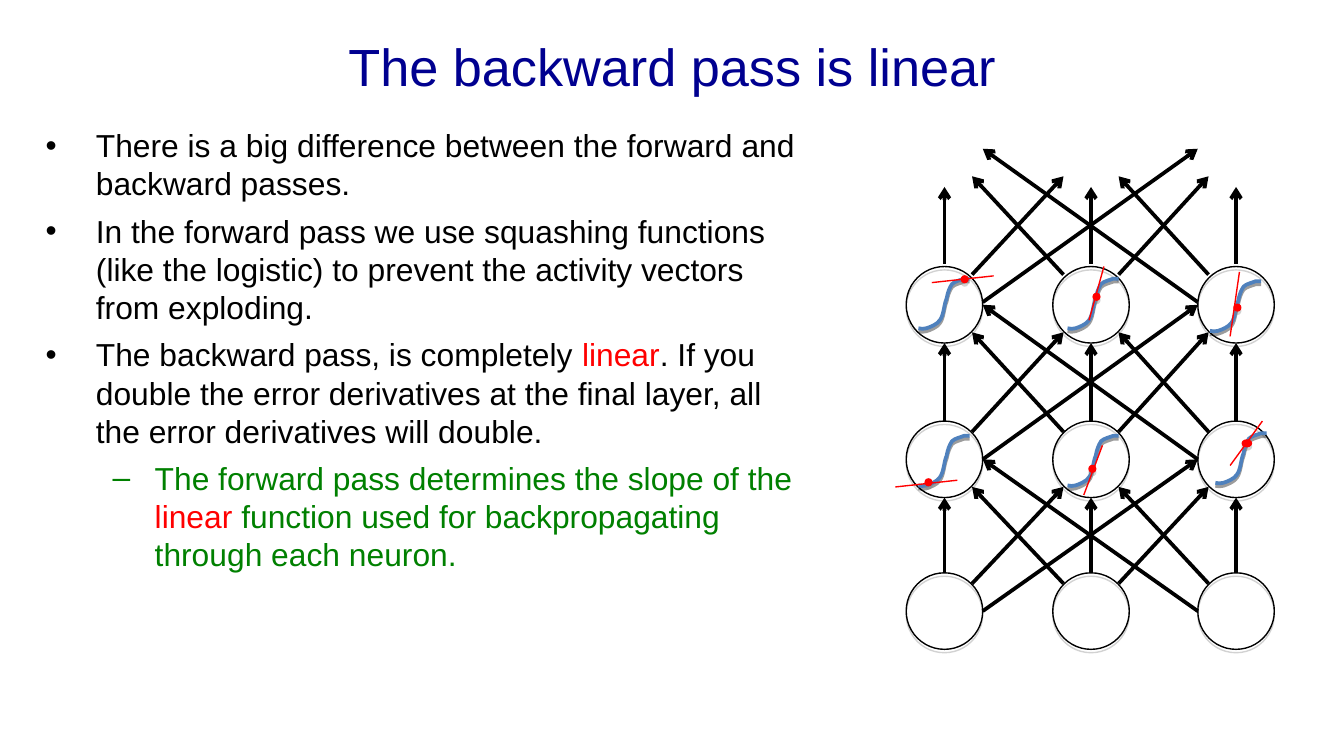
from dataclasses import dataclass

from lxml import etree
from pptx import Presentation
from pptx import util as u
from pptx.dml import color
from pptx.enum import shapes, text
from pptx.oxml import ns


@dataclass(frozen=True)
class Theme:
    font: str = "Arial"
    title_size: float = 28
    body_size: float = 17
    title: str = "000090"
    ink: str = "000000"
    accent: str = "FF0000"
    detail: str = "008000"
    curve: str = "4F81BD"
    node_shadow: tuple = ("808080", 35, 1.8)
    curve_shadow: tuple = ("000000", 38, 1.6)
    thin: float = 0.75
    thick: float = 2


THEME = Theme()
NODE = 41
COLUMNS = (0, 78.5, 156.2)
LAYERS = (247.7, 166.4, 83.6)
FANS = ((247.7, 166.4), (166.4, 83.6), (82.2, 0))
ANCHORS = {
    0: ((0.5, 0), (0.5, 1)),
    1: ((0.86, 0.14), (0.14, 0.86)),
    2: ((1, 0.5), (0, 0.5)),
}
SIGMOID_START = (0, 26.6)
SIGMOID = (
    ((1.4, 26.6), (2.9, 27.4), (4.3, 26.6)),
    ((6.5, 25.9), (10.1, 24.5), (11.5, 22.3)),
    ((13.7, 19.4), (13.7, 13.7), (15.1, 10.8)),
    ((15.8, 7.2), (16.6, 5), (18, 2.9)),
    ((19.4, 1.4), (23, 0.7), (24.5, 0)),
    ((25.9, 0), (27.4, 0), (27.4, 0)),
)
ACTIVATIONS = (
    (1, 0, (6.5, 7.9), (10.1, 31, 3.6), (-5.8, 35.3, 27.4, 31.7)),
    (1, 1, (7.9, 7.9), (19.4, 23.8, 3.6), (16.6, 39.6, 26.6, 13)),
    (1, 2, (9.4, 6.5), (23.8, 10.1, 5), (17.3, 23.8, 34.6, 0)),
    (2, 0, (6.5, 6.5), (29.5, 5, 3.6), (13.7, 8.6, 46.8, 5)),
    (2, 1, (7.9, 6.5), (21.6, 14.4, 3.6), (19.4, 28.8, 27.4, 0)),
    (2, 2, (6.5, 7.9), (19.4, 20.2, 3.6), (17.3, 37.4, 22.3, 2.9)),
)
BULLETS = (
    ("•", 27, 27, (("There is a big difference between the forward and backward passes.", THEME.ink),)),
    ("•", 27, 27, (("In the forward pass we use squashing functions (like the logistic) to prevent "
                    "the activity vectors from exploding.", THEME.ink),)),
    ("•", 27, 27, (("The backward pass, is completely ", THEME.ink), ("linear", THEME.accent),
                   (". If you double the error derivatives at the final layer, all the error "
                    "derivatives will double.", THEME.ink))),
    ("–", 58.5, 22.5, (("The forward pass determines the slope of the", THEME.detail),
                       (" linear ", THEME.accent),
                       ("function used for backpropagating through each neuron.", THEME.detail))),
)


def apply_format(target, values):
    for name, value in values.items():
        setattr(target, name, value)


def rgb(value):
    return color.RGBColor.from_string(value)


def add_element(parent, tag, **attributes):
    element = etree.SubElement(parent, ns.qn(tag))
    for name, value in attributes.items():
        element.set(name, str(value))
    return element


def add_text_frame(slide, box, anchor):
    frame = slide.shapes.add_textbox(*map(u.Pt, box)).text_frame
    apply_format(frame, {"word_wrap": True, "vertical_anchor": anchor})
    return frame


def add_run(paragraph, words, size, ink):
    run = paragraph.add_run()
    run.text = words
    apply_format(run.font, {"name": THEME.font, "size": u.Pt(size)})
    run.font.color.rgb = rgb(ink)


def style_line(shape, ink, width):
    shape.line.color.rgb = rgb(ink)
    shape.line.width = u.Pt(width)


def style_shape(shape, fill, ink, width, shadow):
    if fill:
        shape.fill.solid()
        shape.fill.fore_color.rgb = rgb(fill)
    else:
        shape.fill.background()
    style_line(shape, ink, width)
    shape.shadow.inherit = False
    tint, opacity, distance = shadow
    effects = shape._element.spPr.find(ns.qn("a:effectLst"))
    outer = add_element(effects, "a:outerShdw", blurRad=0, dist=u.Pt(distance),
                        dir=5400000, rotWithShape=0)
    add_element(add_element(outer, "a:srgbClr", val=tint), "a:alpha", val=opacity * 1000)


def add_circle(slide, left, top, width, height, fill, ink):
    circle = slide.shapes.add_shape(shapes.MSO_SHAPE.OVAL, *map(u.Pt, (left, top, width, height)))
    style_shape(circle, fill, ink, THEME.thin, THEME.node_shadow)


def add_line(slide, ends, ink, width, arrow=False):
    line = slide.shapes.add_connector(shapes.MSO_CONNECTOR.STRAIGHT, *map(u.Pt, ends))
    style_line(line, ink, width)
    if arrow:
        add_element(line.line._get_or_add_ln(), "a:tailEnd", type="arrow")
    add_element(line._element.spPr, "a:effectLst")


def add_sigmoid(slide, left, top):
    knots = [SIGMOID_START] + [segment[-1] for segment in SIGMOID]
    points = [(u.Pt(left + x), u.Pt(top + y)) for x, y in knots]
    builder = slide.shapes.build_freeform(*points[0])
    builder.add_line_segments(points[1:], close=False)
    curve = builder.convert_to_shape()
    straights = list(curve._element.iter(ns.qn("a:lnTo")))
    for straight, segment in zip(straights, SIGMOID):
        outline = straight.getparent()
        bend = add_element(outline, "a:cubicBezTo")
        for x, y in segment:
            add_element(bend, "a:pt", x=u.Pt(x), y=u.Pt(y))
        outline.replace(straight, bend)
    style_shape(curve, None, THEME.curve, THEME.thick, THEME.curve_shadow)


def add_activation(slide, left, top, curve, dot, tangent):
    add_sigmoid(slide, left + curve[0], top + curve[1])
    dot_x, dot_y, dot_width = dot
    add_circle(slide, left + dot_x, top + dot_y, dot_width, 3.6, THEME.accent, THEME.accent)
    x1, y1, x2, y2 = tangent
    add_line(slide, (left + x1, top + y1, left + x2, top + y2), THEME.accent, THEME.thin)


def add_fan(slide, left, lower, upper):
    for source, source_x in enumerate(COLUMNS):
        for target, target_x in enumerate(COLUMNS):
            (x1, y1), (x2, y2) = ANCHORS[abs(target - source)]
            if target < source:
                x1, x2 = 1 - x1, 1 - x2
            ends = (left + source_x + x1 * NODE, lower + y1 * NODE,
                    left + target_x + x2 * NODE, upper + y2 * NODE)
            add_line(slide, ends, THEME.ink, THEME.thick, arrow=True)


def add_network(slide, box):
    left, top = box[:2]
    for layer in LAYERS:
        for column in COLUMNS:
            add_circle(slide, left + column, top + layer, NODE, NODE, None, THEME.ink)
    for lower, upper in FANS:
        add_fan(slide, left, top + lower, top + upper)
    for layer, column, curve, dot, tangent in ACTIVATIONS:
        add_activation(slide, left + COLUMNS[column], top + LAYERS[layer], curve, dot, tangent)


def add_title(slide, box):
    paragraph = add_text_frame(slide, box, text.MSO_ANCHOR.MIDDLE).paragraphs[0]
    paragraph.alignment = text.PP_ALIGN.CENTER
    add_run(paragraph, "The backward pass is linear", THEME.title_size, THEME.title)


def add_bullets(slide, box):
    frame = add_text_frame(slide, box, text.MSO_ANCHOR.TOP)
    for index, (mark, margin, hanging, runs) in enumerate(BULLETS):
        paragraph = frame.add_paragraph() if index else frame.paragraphs[0]
        apply_format(paragraph, {"space_before": u.Pt(5 if index else 0),
                                 "level": int(mark == "–")})
        properties = paragraph._p.get_or_add_pPr()
        properties.set("marL", str(u.Pt(margin)))
        properties.set("indent", str(-u.Pt(hanging)))
        add_element(add_element(properties, "a:buClr"), "a:srgbClr", val=runs[0][1])
        add_element(properties, "a:buFont", typeface=THEME.font)
        add_element(properties, "a:buChar", char=mark)
        for words, ink in runs:
            add_run(paragraph, words, THEME.body_size, ink)


def main():
    presentation = Presentation()
    apply_format(presentation, {"slide_width": u.Pt(720), "slide_height": u.Pt(405)})
    slide = presentation.slides.add_slide(presentation.slide_layouts[6])
    add_title(slide, (36, 1.5, 648, 67.5))
    add_bullets(slide, (17.3, 64, 420, 267))
    add_network(slide, (485.5, 59.2, 197.2, 288.7))
    presentation.save("out.pptx")


if __name__ == "__main__":
    main()
